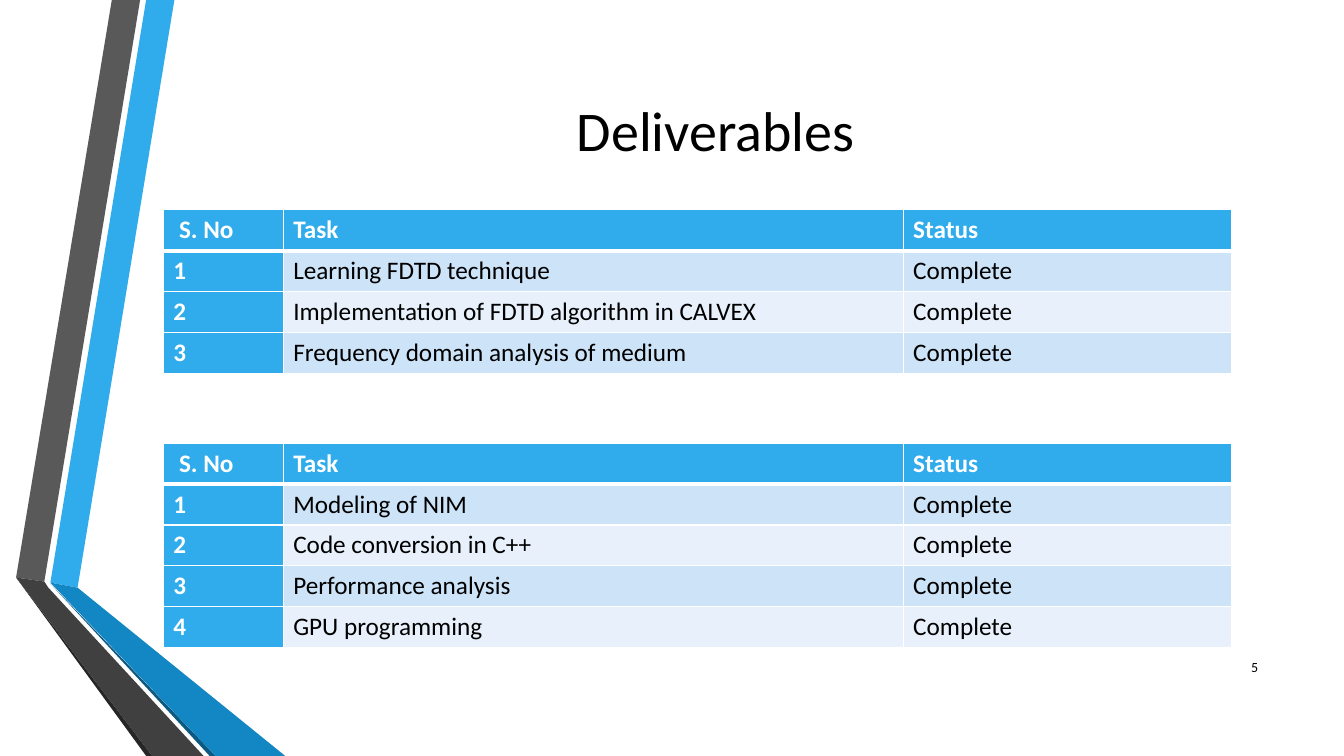
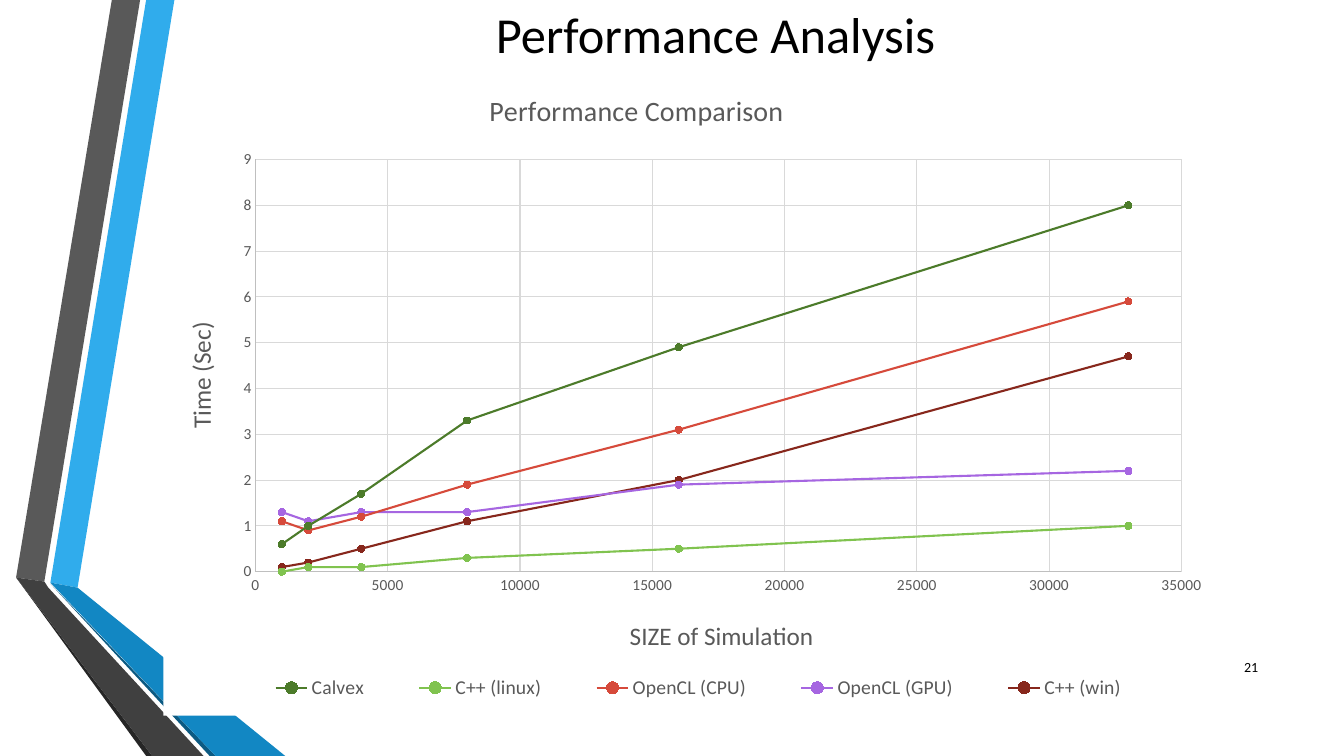
from collections import namedtuple

from lxml import etree
from pptx import Presentation
from pptx import util as u
from pptx.chart import data as chart_data
from pptx.dml.color import RGBColor
from pptx.enum import chart as charts, text
from pptx.oxml import parse_xml
from pptx.oxml.ns import nsdecls, qn

FONT = "Calibri"
BLACK = RGBColor(0x00, 0x00, 0x00)
WHITE = RGBColor(0xFF, 0xFF, 0xFF)
SKY = RGBColor(0x30, 0xAC, 0xEC)
BLUE = RGBColor(0x12, 0x87, 0xC3)
NAVY = RGBColor(0x0C, 0x5A, 0x82)
GRAY = RGBColor(0x59, 0x59, 0x59)
CHARCOAL = RGBColor(0x40, 0x40, 0x40)
SOOT = RGBColor(0x26, 0x26, 0x26)
ROW_TINTS = (RGBColor(0xCD, 0xE3, 0xF8), RGBColor(0xE8, 0xF1, 0xFB))
AXIS_GRAY = RGBColor(0xBF, 0xBF, 0xBF)
GRID_GRAY = RGBColor(0xD9, 0xD9, 0xD9)
GREEN = RGBColor(0x4C, 0x7B, 0x2A)
LIME = RGBColor(0x80, 0xC3, 0x4F)
RED = RGBColor(0xD6, 0x4A, 0x3B)
VIOLET = RGBColor(0xA6, 0x66, 0xE1)
MAROON = RGBColor(0x87, 0x27, 0x1C)

SLIDE_W, SLIDE_H = u.Inches(13.33), u.Inches(7.5)
HUNDREDTH = u.Inches(0.01)
Box = namedtuple("Box", "left top width height")

BANDS = (
    (SKY, ((50, 578), (77, 583), (173, 0), (145, 0))),
    (GRAY, ((139, 0), (111, 0), (16, 573), (44, 577))),
    (SOOT, ((16, 573), (145, 750), (151, 750))),
    (NAVY, ((50, 579), (208, 750), (214, 750))),
    (BLUE, ((50, 578), (214, 750), (283, 750), (77, 583))),
    (CHARCOAL, ((202, 750), (48, 583), (44, 577), (16, 573), (151, 750))),
)

HEADINGS = (" S. No", "Task", "Status")
COLUMN_WEIGHTS = (1.19, 6.15, 3.26)
FIRST_TASKS = (
    "Learning FDTD technique",
    "Implementation of FDTD algorithm in CALVEX",
    "Frequency domain analysis of medium",
)
SECOND_TASKS = (
    "Modeling of NIM",
    "Code conversion in C++",
    "Performance analysis",
    "GPU programming",
)

SIZES = (1000, 2000, 4000, 8000, 16000, 33000)
TIMINGS = (
    ("Calvex", GREEN, (0.6, 1, 1.7, 3.3, 4.9, 8)),
    ("C++ (linux)", LIME, (0, 0.1, 0.1, 0.3, 0.5, 1)),
    ("OpenCL (CPU)", RED, (1.1, 0.9, 1.2, 1.9, 3.1, 5.9)),
    ("OpenCL (GPU)", VIOLET, (1.3, 1.1, 1.3, 1.3, 1.9, 2.2)),
    ("C++ (win)", MAROON, (0.1, 0.2, 0.5, 1.1, 2, 4.7)),
)
CHART_LAYOUT = (
    ("c:chart/c:plotArea", (8.7, 14.2, 87.4, 63.6)),
    ("c:chart/c:title", (30.3, 2.8)),
    ("c:chart/c:plotArea/c:valAx[1]/c:title", (43.6, 84.3)),
    ("c:chart/c:plotArea/c:valAx[2]/c:title", (1.5, 38.6)),
    ("c:chart/c:legend", (6, 93.2, 89, 5)),
)


def percent_box(left, top, width, height):
    return Box(int(SLIDE_W * left / 100), int(SLIDE_H * top / 100),
               int(SLIDE_W * width / 100), int(SLIDE_H * height / 100))


def style_font(font, size, color, bold=False):
    font.name, font.size, font.bold = FONT, u.Pt(size), bold
    font.color.rgb = color


def write(frame, words, size, color, align=None, bold=False):
    paragraph = frame.paragraphs[0]
    paragraph.alignment = align
    run = paragraph.add_run()
    run.text = words
    style_font(run.font, size, color, bold)


def add_label(slide, box, words, size, align):
    frame = slide.shapes.add_textbox(*box).text_frame
    frame.word_wrap = True
    frame.vertical_anchor = text.MSO_ANCHOR.MIDDLE
    write(frame, words, size, BLACK, align)


def add_bands(slide):
    for color, (start, *corners) in BANDS:
        outline = slide.shapes.build_freeform(*start, scale=HUNDREDTH)
        outline.add_line_segments(corners, close=True)
        band = outline.convert_to_shape()
        band.shadow.inherit = False
        band.fill.solid()
        band.fill.fore_color.rgb = color
        band.line.fill.background()


def add_framed_slide(deck, title, title_box, title_size, number):
    slide = deck.slides.add_slide(deck.slide_layouts[6])
    add_bands(slide)
    add_label(slide, title_box, title, title_size, text.PP_ALIGN.CENTER)
    add_label(slide, percent_box(89.85, 85.6, 4.5, 5.33), str(number), 10,
              text.PP_ALIGN.RIGHT)
    return slide


def add_task_table(slide, box, tasks):
    rows = [HEADINGS] + [(str(n), task, "Complete") for n, task in enumerate(tasks, 1)]
    frame = slide.shapes.add_table(len(rows), len(HEADINGS), *box)
    table = frame.table
    table.first_col = True
    for column, weight in zip(table.columns, COLUMN_WEIGHTS):
        column.width = int(box.width * weight / sum(COLUMN_WEIGHTS))
    for r, row in enumerate(rows):
        for c, words in enumerate(row):
            cell = table.cell(r, c)
            strong = r == 0 or c == 0
            cell.fill.solid()
            cell.fill.fore_color.rgb = SKY if strong else ROW_TINTS[(r - 1) % 2]
            write(cell.text_frame, words, 18, WHITE if strong else BLACK, bold=strong)
    for heading in frame.element.xpath(".//a:tr[1]/a:tc/a:tcPr"):
        heading.insert(0, parse_xml(
            f'<a:lnB {nsdecls("a")} w="{u.Pt(3)}"><a:solidFill>'
            f'<a:srgbClr val="{WHITE}"/></a:solidFill></a:lnB>'))


def style_axis(axis, title, top, step):
    axis.minimum_scale, axis.maximum_scale, axis.major_unit = 0, top, step
    axis.major_tick_mark = axis.minor_tick_mark = charts.XL_TICK_MARK.NONE
    axis.has_major_gridlines = True
    for line, color in ((axis.format.line, AXIS_GRAY),
                        (axis.major_gridlines.format.line, GRID_GRAY)):
        line.color.rgb = color
        line.width = u.Pt(0.75)
    style_font(axis.tick_labels.font, 11, GRAY)
    axis.tick_labels.number_format = "General"
    axis.tick_labels.number_format_is_linked = False
    write(axis.axis_title.text_frame, title, 18, GRAY)


def place_part(part, shares):
    for old in part.findall(qn("c:layout")):
        part.remove(old)
    layout = etree.Element(qn("c:layout"))
    manual = etree.SubElement(layout, qn("c:manualLayout"))
    settings = [("xMode", "edge"), ("yMode", "edge")]
    if part.tag == qn("c:plotArea"):
        settings.insert(0, ("layoutTarget", "inner"))
    settings += [(key, str(round(share / 100, 4))) for key, share in zip("xywh", shares)]
    for key, value in settings:
        etree.SubElement(manual, qn("c:" + key)).set("val", value)
    part.insert(0 if part.tag == qn("c:plotArea") else 1, layout)


def add_timing_chart(slide, box):
    timings = chart_data.XyChartData()
    for name, _, seconds in TIMINGS:
        series = timings.add_series(name)
        for point in zip(SIZES, seconds):
            series.add_data_point(*point)
    chart = slide.shapes.add_chart(charts.XL_CHART_TYPE.XY_SCATTER_LINES, *box,
                                   timings).chart
    style_font(chart.font, 10, BLACK)
    chart.has_title = True
    write(chart.chart_title.text_frame, "Performance Comparison", 20, GRAY)
    style_axis(chart.category_axis, "SIZE of Simulation", 35000, 5000)
    style_axis(chart.value_axis, "Time (Sec)", 9, 1)
    chart.has_legend = True
    chart.legend.position = charts.XL_LEGEND_POSITION.BOTTOM
    chart.legend.include_in_layout = False
    style_font(chart.legend.font, 14, GRAY)
    plot = chart.plots[0]
    plot.vary_by_categories = False
    for series, (_, color, _) in zip(plot.series, TIMINGS):
        series.smooth = False
        series.format.line.color.rgb = color
        series.format.line.width = u.Pt(1.5)
        marker = series.marker
        marker.style, marker.size = charts.XL_MARKER_STYLE.CIRCLE, 5
        marker.format.fill.solid()
        marker.format.fill.fore_color.rgb = color
        marker.format.line.color.rgb = color
    space = chart.element
    for where, shares in CHART_LAYOUT:
        place_part(space.xpath(where)[0], shares)
    space.xpath(".//c:valAx[2]/c:title//a:bodyPr")[0].set("rot", "-5400000")
    space.find(qn("c:chart")).addnext(parse_xml(
        f'<c:spPr {nsdecls("c", "a")}><a:solidFill><a:srgbClr val="{WHITE}"/>'
        "</a:solidFill><a:ln><a:noFill/></a:ln></c:spPr>"))


def build_deliverables(deck):
    slide = add_framed_slide(deck, "Deliverables", percent_box(12.15, 10, 82.2, 14.13),
                             40, 5)
    for top, tasks in ((27.75, FIRST_TASKS), (58.6, SECOND_TASKS)):
        height = 5.42 * (len(tasks) + 1)
        add_task_table(slide, percent_box(12.15, top, 79.5, height), tasks)


def build_performance(deck):
    slide = add_framed_slide(deck, "Performance Analysis",
                             percent_box(12.15, 0, 82.2, 8.93), 36, 21)
    add_timing_chart(slide, percent_box(12.15, 8.93, 78.83, 85.73))


def main():
    deck = Presentation()
    deck.slide_width, deck.slide_height = SLIDE_W, SLIDE_H
    build_deliverables(deck)
    build_performance(deck)
    deck.save("out.pptx")


if __name__ == "__main__":
    main()
